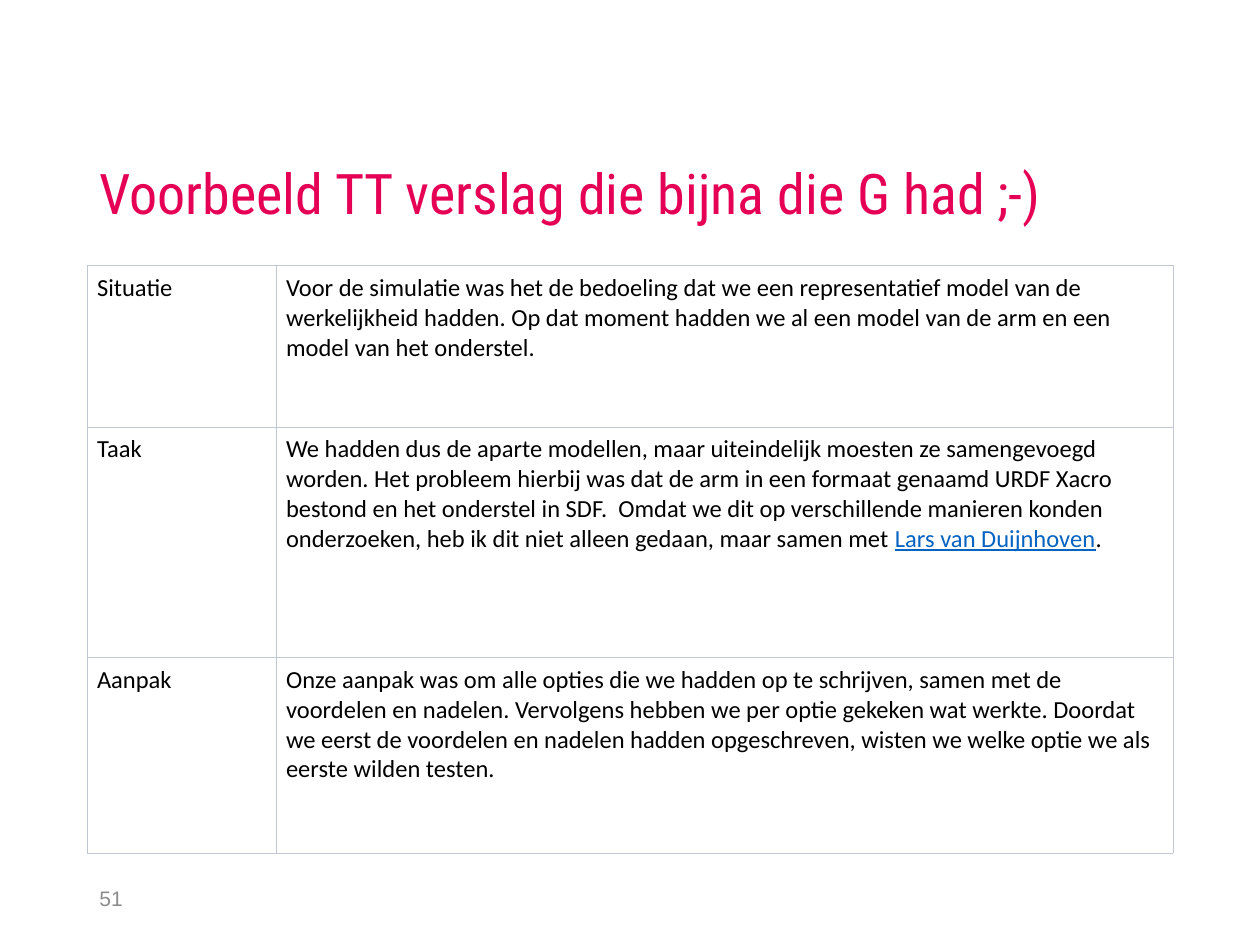
"""Build a slide with a title and a table of situation, task and approach."""
from lxml.etree import SubElement
from pptx import Presentation
from pptx.dml.color import RGBColor
from pptx.enum.text import MSO_ANCHOR
from pptx.oxml.ns import qn
from pptx.util import Inches, Pt

COLORS = {
    "title": "E50056",
    "text": "000000",
    "link": "0563C1",
    "number": "8C8C8C",
    "border": "C1C7D0",
    "cell": "FFFFFF",
}
LEFT, WIDTH = 0.69, 8.62
COLUMN_WIDTHS = [1.5, 7.12]
ROW_HEIGHTS = [1.28, 1.83, 1.55]
ROWS = [
    ("Situatie", [
        ("Voor de simulatie was het de bedoeling dat we een representatief model van de "
         "werkelijkheid hadden. Op dat moment hadden we al een model van de arm en een "
         "model van het onderstel.", "text"),
    ]),
    ("Taak", [
        ("We hadden dus de aparte modellen, maar uiteindelijk moesten ze samengevoegd "
         "worden. Het probleem hierbij was dat de arm in een formaat genaamd URDF Xacro "
         "bestond en het onderstel in SDF.  Omdat we dit op verschillende manieren konden "
         "onderzoeken, heb ik dit niet alleen gedaan, maar samen met ", "text"),
        ("Lars van Duijnhoven", "link"),
        (".", "text"),
    ]),
    ("Aanpak", [
        ("Onze aanpak was om alle opties die we hadden op te schrijven, samen met de "
         "voordelen en nadelen. Vervolgens hebben we per optie gekeken wat werkte. Doordat "
         "we eerst de voordelen en nadelen hadden opgeschreven, wisten we welke optie we als "
         "eerste wilden testen.", "text"),
    ]),
]


def add_text(paragraph, text, size=14, font="Calibri", color="text", underline=False):
    run = paragraph.add_run()
    run.text = text
    run.font.size = Pt(size)
    run.font.name = font
    run.font.underline = underline
    run.font.color.rgb = RGBColor.from_string(COLORS[color])


presentation = Presentation()
presentation.slide_width, presentation.slide_height = Inches(10), Inches(7.5)
slide = presentation.slides.add_slide(presentation.slide_layouts[6])

text_boxes = [
    ("Voorbeeld TT verslag die bijna die G had ;-)", 0.4, WIDTH, 1.45, MSO_ANCHOR.BOTTOM, 0.9,
     {"size": 32, "font": "Roboto Condensed", "color": "title"}),
    ("51", 6.93, 2.25, 0.4, MSO_ANCHOR.MIDDLE, 1.0,
     {"size": 12, "font": "Arial", "color": "number"}),
]
for text, top, width, height, anchor, spacing, text_format in text_boxes:
    shape = slide.shapes.add_textbox(Inches(LEFT), Inches(top), Inches(width), Inches(height))
    shape.text_frame.word_wrap = True
    shape.text_frame.vertical_anchor = anchor
    paragraph = shape.text_frame.paragraphs[0]
    paragraph.line_spacing = spacing
    add_text(paragraph, text, **text_format)

table = slide.shapes.add_table(
    len(ROWS), len(COLUMN_WIDTHS), Inches(LEFT), Inches(2.11),
    Inches(WIDTH), Inches(sum(ROW_HEIGHTS))).table
for column, width in zip(table.columns, COLUMN_WIDTHS):
    column.width = Inches(width)

for row, height, (label, description) in zip(table.rows, ROW_HEIGHTS, ROWS):
    row.height = Inches(height)
    for cell, pieces in zip(row.cells, ([(label, "text")], description)):
        cell.margin_left = cell.margin_right = Inches(0.08)
        cell.margin_top = cell.margin_bottom = Inches(0.06)
        for text, color in pieces:
            add_text(cell.text_frame.paragraphs[0], text, color=color, underline=color == "link")
        properties = cell._tc.get_or_add_tcPr()
        for side in ("a:lnL", "a:lnR", "a:lnT", "a:lnB"):
            line = SubElement(properties, qn(side), w=str(Pt(0.6)))
            line_fill = SubElement(line, qn("a:solidFill"))
            SubElement(line_fill, qn("a:srgbClr"), val=COLORS["border"])
        cell.fill.solid()
        cell.fill.fore_color.rgb = RGBColor.from_string(COLORS["cell"])

presentation.save("out.pptx")
